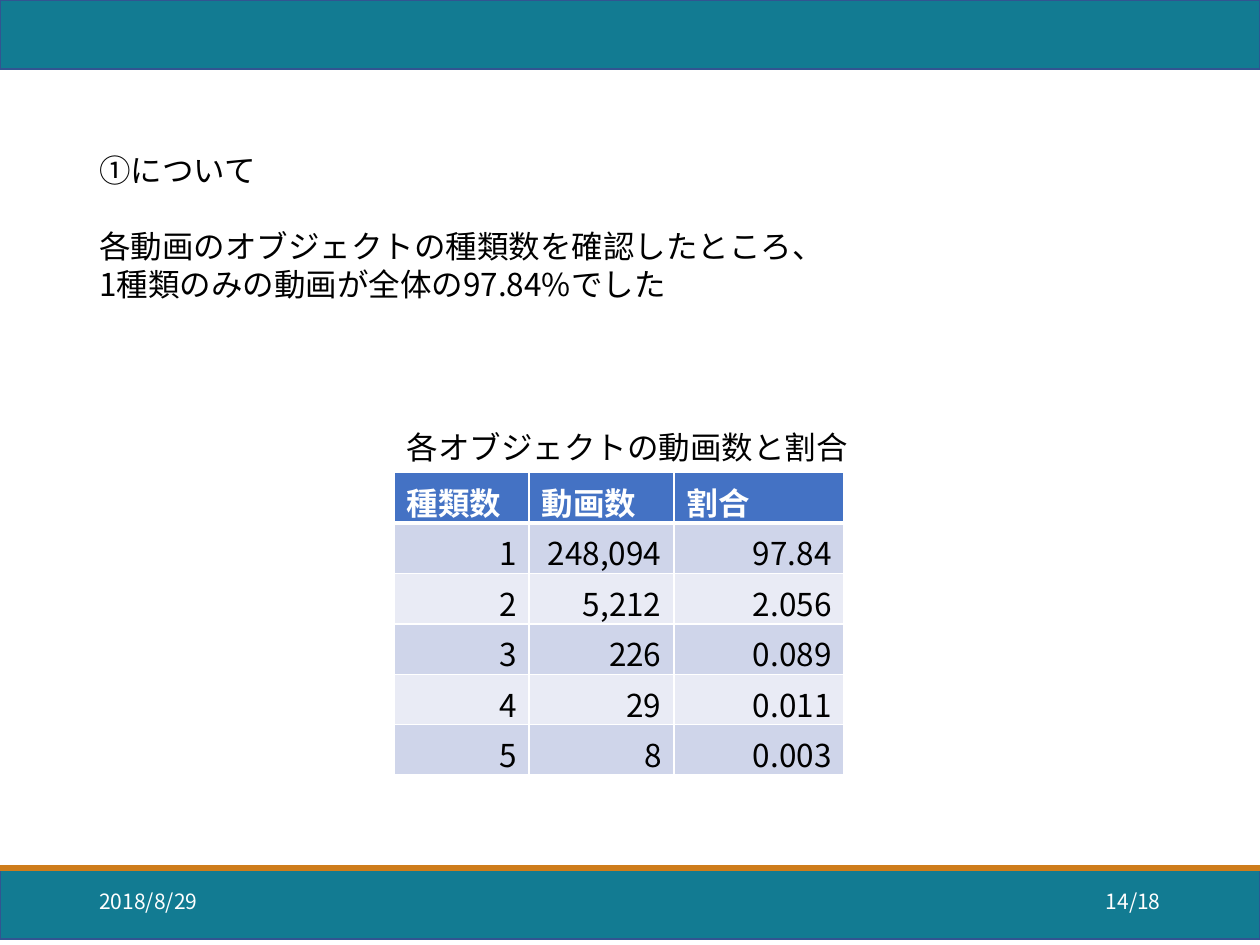
from dataclasses import dataclass

from lxml.etree import SubElement
from pptx import Presentation
from pptx.dml.color import RGBColor
from pptx.enum.shapes import MSO_CONNECTOR, MSO_SHAPE
from pptx.enum.text import MSO_ANCHOR, PP_ALIGN
from pptx.oxml.ns import qn
from pptx.util import Inches, Pt


@dataclass(frozen=True)
class Theme:
    font: str = "Noto Sans CJK JP"
    teal: str = "127B92"
    edge: str = "325491"
    gold: str = "CE7C1B"
    head: str = "4472C4"
    odd: str = "CFD5EA"
    even: str = "E9EBF5"
    ink: str = "000000"
    white: str = "FFFFFF"
    body: int = 18
    small: int = 12


COLS, ROWS = 20, 15  # grid over the slide


class Deck:
    def __init__(self, theme):
        self.theme = theme
        self.show = Presentation()
        self.show.slide_width = Inches(10)
        self.show.slide_height = Inches(7.5)
        self.slide = self.show.slides.add_slide(self.show.slide_layouts[6])

    def area(self, col, row, wide, high):
        """Turn grid columns and rows into slide lengths."""
        x = self.show.slide_width / COLS
        y = self.show.slide_height / ROWS
        return [round(n) for n in (col * x, row * y, wide * x, high * y)]

    def words(self, para, text, size, color, bold=False, align=None):
        para.alignment = align
        run = para.add_run()
        run.text = text
        font = run.font
        font.name, font.size, font.bold = self.theme.font, Pt(size), bold
        font.color.rgb = RGBColor.from_string(color)
        SubElement(run._r.get_or_add_rPr(), qn("a:ea"), typeface=self.theme.font)

    def band(self, row, high):
        box = self.slide.shapes.add_shape(
            MSO_SHAPE.RECTANGLE, *self.area(0, row, COLS, high))
        box.shadow.inherit = False
        box.fill.solid()
        box.fill.fore_color.rgb = RGBColor.from_string(self.theme.teal)
        box.line.color.rgb = RGBColor.from_string(self.theme.edge)
        box.line.width = Pt(1)

    def rule(self, row, width):
        x, y, wide, _ = self.area(0, row, COLS, 0)
        line = self.slide.shapes.add_connector(
            MSO_CONNECTOR.STRAIGHT, x, y, x + wide, y)
        line.line.color.rgb = RGBColor.from_string(self.theme.gold)
        line.line.width = Pt(width)
        SubElement(line._element.spPr, qn("a:effectLst"))

    def text(self, area, lines, size, color, align=None, wrap=False,
             anchor=MSO_ANCHOR.TOP, gap=0):
        """Set one paragraph a line, with a gap after the first."""
        frame = self.slide.shapes.add_textbox(*self.area(*area)).text_frame
        frame.word_wrap = wrap
        frame.vertical_anchor = anchor
        for i, line in enumerate(lines):
            para = frame.add_paragraph() if i else frame.paragraphs[0]
            self.words(para, line, size, color, align=align)
        frame.paragraphs[0].space_after = Pt(gap)

    def border(self, cell, base):
        for side in "LRTB":
            width = base if side == "B" else 1
            line = SubElement(cell._tc.get_or_add_tcPr(), qn("a:ln" + side),
                              w=str(int(Pt(width))))
            fill = SubElement(line, qn("a:solidFill"))
            SubElement(fill, qn("a:srgbClr"), val=self.theme.white)

    def table(self, col, row, wides, high, data):
        look = self.theme
        area = self.area(col, row, sum(wides), high * len(data))
        grid = self.slide.shapes.add_table(len(data), len(wides), *area).table
        for part, wide in zip(grid.columns, wides):
            part.width = self.area(0, 0, wide, 0)[2]
        for r, line in enumerate(data):
            tint = look.odd if r % 2 else look.even
            for c, word in enumerate(line):
                cell = grid.cell(r, c)
                # Only the line under the header is heavy
                self.border(cell, 1 if r else 3)
                cell.fill.solid()
                cell.fill.fore_color.rgb = RGBColor.from_string(
                    tint if r else look.head)
                cell.vertical_anchor = MSO_ANCHOR.MIDDLE if r else MSO_ANCHOR.TOP
                self.words(cell.text_frame.paragraphs[0], word, look.body,
                           look.ink if r else look.white, bold=not r,
                           align=PP_ALIGN.RIGHT if r else None)


def main():
    look = Theme()
    deck = Deck(look)

    # Bands and rule
    for row in (13.8, 0):
        deck.band(row, 1.1)
    deck.rule(13.78, 3.75)

    # Footer: date and page
    for col, word, align in ((1.38, "2018/8/29", PP_ALIGN.LEFT),
                             (14.12, "14/18", PP_ALIGN.RIGHT)):
        deck.text((col, 13.9, 4.5, 0.8), [word], look.small, look.white,
                  align=align, wrap=True, anchor=MSO_ANCHOR.MIDDLE)

    # Finding
    deck.text((1.38, 2.3, 12.02, 2.62),
              ["①について",
               "各動画のオブジェクトの種類数を確認したところ、",
               "1種類のみの動画が全体の97.84%でした"],
              look.body, look.ink, gap=21.6)

    # Table and caption
    deck.table(6.26, 7.5, (2.14, 2.3, 2.7), 0.8, [
        ("種類数", "動画数", "割合"),
        ("1", "248,094", "97.84"),
        ("2", "5,212", "2.056"),
        ("3", "226", "0.089"),
        ("4", "29", "0.011"),
        ("5", "8", "0.003"),
    ])
    deck.text((6.26, 6.7, 7.48, 0.8), ["各オブジェクトの動画数と割合"],
              look.body, look.ink)

    deck.show.save("out.pptx")


if __name__ == "__main__":
    main()
